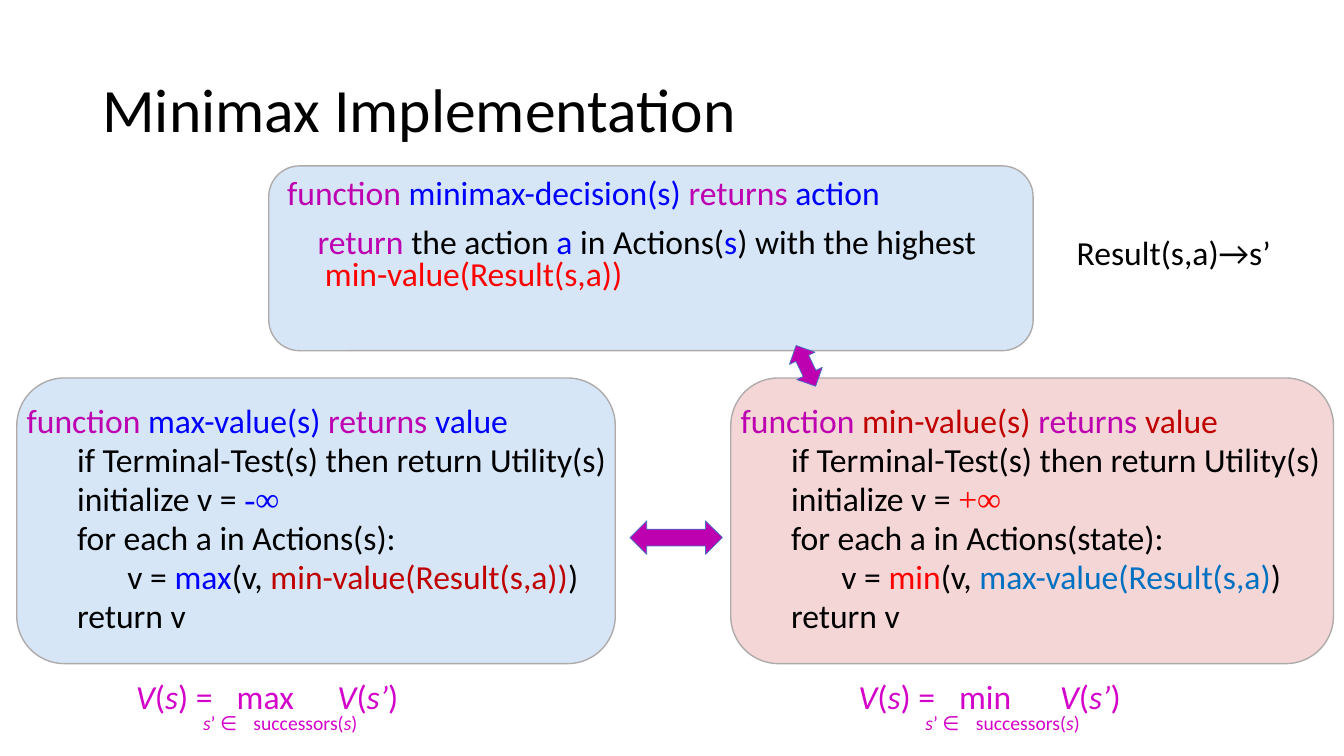
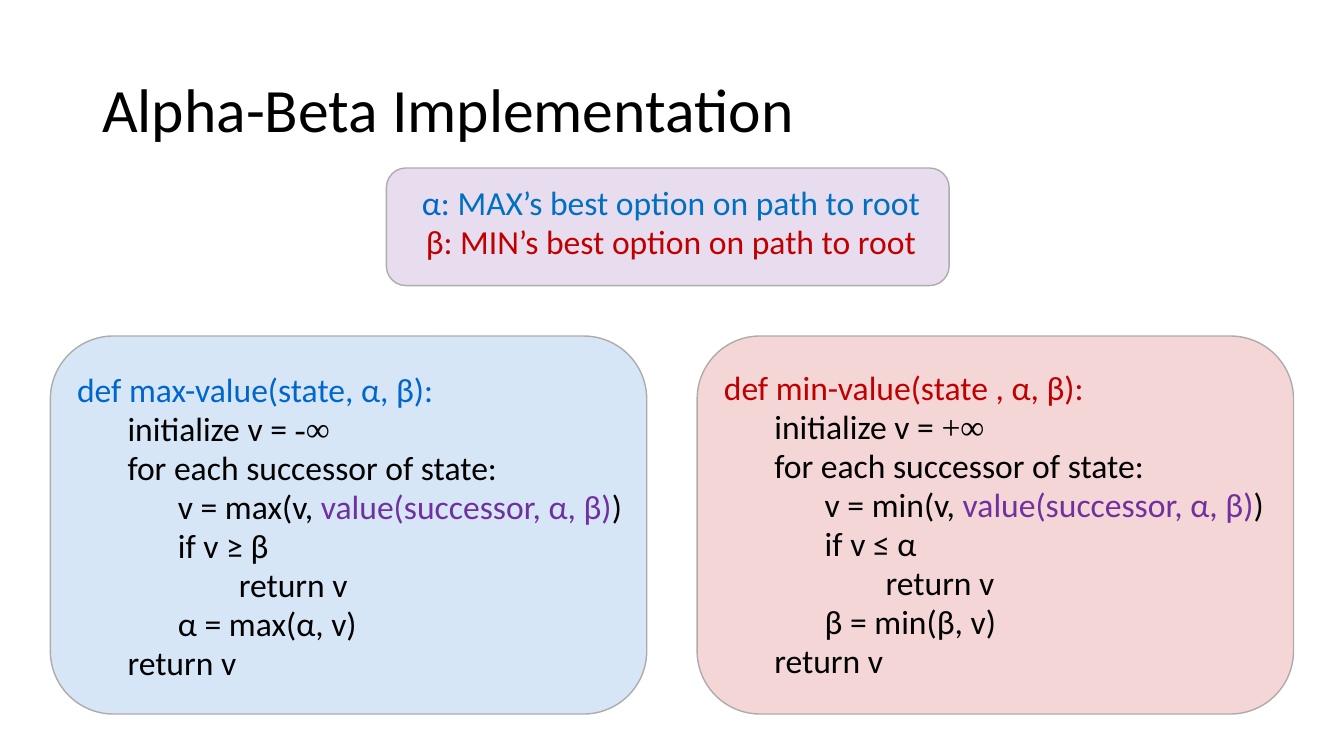
from dataclasses import dataclass
from typing import NamedTuple

from lxml import etree
from pptx import Presentation
from pptx.dml.color import RGBColor
from pptx.enum.shapes import MSO_SHAPE
from pptx.enum.text import MSO_ANCHOR, PP_ALIGN
from pptx.oxml.ns import qn
from pptx.util import Emu, Pt

ROUNDED = MSO_SHAPE.ROUNDED_RECTANGLE
DOUBLE_ARROW = MSO_SHAPE.LEFT_RIGHT_ARROW
TOP, MIDDLE = MSO_ANCHOR.TOP, MSO_ANCHOR.MIDDLE
LEFT, CENTER = PP_ALIGN.LEFT, PP_ALIGN.CENTER
BLANK_LAYOUT = 6


@dataclass(frozen=True)
class Theme:
    font: str = "Calibri"
    symbol_font: str = "Times New Roman"
    black: str = "000000"
    keyword: str = "BD00B0"
    formula: str = "D303CA"
    name: str = "0000FF"
    max_blue: str = "0066CC"
    call_blue: str = "0070C0"
    min_red: str = "C00000"
    bright_red: str = "FF0000"
    purple: str = "7030A0"
    panel_line: str = "AFABAB"
    arrow_line: str = "4472C4"
    panel_alpha: int = 16
    title_size: int = 44
    text_size: int = 24
    subscript_size: int = 14
    code_spacing: float = 0.8
    title_spacing: float = 0.9
    line_gap: float = 4.8
    paragraph_gap: int = 12
    indents: tuple = (0, 48, 96, 154)


THEME = Theme()


class Run(NamedTuple):
    text: str
    color: str = THEME.black
    font: str = THEME.font
    italic: bool = False


class Line(NamedTuple):
    runs: list
    margin: int = 0
    hanging: int = 0
    gap: float = 0


def px(value):
    return Emu(value * 9525)


def code(level, *runs):
    """One line of pseudocode at an indent level."""
    return Line([Run(run) if isinstance(run, str) else run for run in runs],
                THEME.indents[level], gap=THEME.line_gap)


def infinity(sign, color=THEME.black):
    return Run(sign + "∞", color, THEME.symbol_font)


# Element builders
def add_block(slide, kind, box, fill, line, width):
    shape = slide.shapes.add_shape(kind, *map(px, box))
    shape.shadow.inherit = False
    shape.fill.solid()
    shape.fill.fore_color.rgb = RGBColor.from_string(fill)
    shape.line.color.rgb = RGBColor.from_string(line)
    shape.line.width = Pt(width)
    return shape


def add_panel(slide, box, color):
    panel = add_block(slide, ROUNDED, box, color, THEME.panel_line, 1)
    fill_color = panel.fill._xPr.find(qn("a:solidFill")).find(qn("a:srgbClr"))
    alpha = etree.SubElement(fill_color, qn("a:alpha"))
    alpha.set("val", str(THEME.panel_alpha * 1000))


def add_double_arrow(slide, box, rotation=0):
    arrow = add_block(slide, DOUBLE_ARROW, box, THEME.keyword, THEME.arrow_line, 0.5)
    arrow.rotation = rotation


def add_tabs(paragraph, positions):
    tab_list = etree.SubElement(paragraph._p.get_or_add_pPr(), qn("a:tabLst"))
    for position in positions:
        tab = etree.SubElement(tab_list, qn("a:tab"))
        tab.set("pos", str(px(position)))
        tab.set("algn", "l")


def add_text(slide, box, lines, size=THEME.text_size, spacing=1.0,
             align=LEFT, anchor=TOP, tabs=()):
    text_frame = slide.shapes.add_textbox(*map(px, box)).text_frame
    text_frame.word_wrap = True
    text_frame.vertical_anchor = anchor
    for index, line in enumerate(lines):
        paragraph = text_frame.add_paragraph() if index else text_frame.paragraphs[0]
        if tabs:
            add_tabs(paragraph, tabs)
        properties = paragraph._p.get_or_add_pPr()
        properties.set("marL", str(px(line.margin)))
        properties.set("indent", str(px(-line.hanging)))
        paragraph.alignment = align
        paragraph.line_spacing = spacing
        paragraph.space_before = Pt(line.gap if index else 0)
        for part in line.runs:
            run = paragraph.add_run()
            run.text = part.text
            run.font.name = part.font
            run.font.size = Pt(size)
            run.font.italic = part.italic
            run.font.color.rgb = RGBColor.from_string(part.color)


def add_code(slide, box, lines):
    add_text(slide, box, lines, spacing=THEME.code_spacing)


def add_titled_slide(presentation, title):
    slide = presentation.slides.add_slide(presentation.slide_layouts[BLANK_LAYOUT])
    add_text(slide, (88, 38, 1104, 139), [Line([Run(title)])], THEME.title_size,
             THEME.title_spacing, anchor=MIDDLE)
    return slide


def formula_line(*texts):
    """Alternate italic and upright runs, starting with italic."""
    return Line([Run(text, THEME.formula, italic=index % 2 == 0)
                 for index, text in enumerate(texts)])


def add_formula(slide, left, operator, value_tab):
    top = 639
    add_text(slide, (left, top, 440, 48),
             [formula_line("V", "(", "s", f") =\t{operator}\t", "V", "(", "s’", ")")],
             tabs=(117, value_tab))
    add_text(slide, (left + 64, top + 33, 200, 33),
             [formula_line("s", "’ ∈\tsuccessors(", "s", ")")],
             THEME.subscript_size, tabs=(41,))


# Pseudocode
def function_header(signature, result, color):
    return Line([Run("function ", THEME.keyword), Run(signature + " ", color),
                 Run("returns ", THEME.keyword), Run(result, color)])


def minimax_lines(operator, color, start, actions, operator_color, call):
    return [
        function_header(f"{operator}-value(s)", "value", color),
        code(1, "if Terminal-Test(s) then return Utility(s)"),
        code(1, "initialize v = ", start),
        code(1, f"for each a in Actions({actions}):"),
        code(2, "v = ", Run(operator, operator_color), "(v, ", call, ")"),
        code(1, "return v"),
    ]


def alpha_beta_lines(operator, color, state, sign, comparison, bound, updated):
    return [
        code(0, Run(f"def {operator}-value({state}, α, β):", color)),
        code(1, "initialize v = ", infinity(sign)),
        code(1, "for each successor of state:"),
        code(2, f"v = {operator}(v, ", Run("value(successor, α, β)", THEME.purple), ")"),
        code(2, f"if v {comparison} {bound}"),
        code(3, "return v"),
        code(2, f"{updated} = {operator}({updated}, v)"),
        code(1, "return v"),
    ]


# Slides
def build_minimax(presentation):
    slide = add_titled_slide(presentation, "Minimax Implementation")

    # Maximizing and minimizing functions
    max_lines = minimax_lines(
        "max", THEME.name, infinity("-", THEME.name), "s", THEME.name,
        Run("min-value(Result(s,a))", THEME.min_red))
    min_lines = minimax_lines(
        "min", THEME.min_red, infinity("+", THEME.bright_red), "state",
        THEME.bright_red, Run("max-value(Result(s,a)", THEME.call_blue))
    for left, width, color, lines in ((16, 570, THEME.max_blue, max_lines),
                                      (696, 574, THEME.min_red, min_lines)):
        add_panel(slide, (left, 360, width, 272), color)
        add_code(slide, (left, 384, 584, 240), lines)
    add_double_arrow(slide, (600, 496, 88, 32))

    # Decision function
    add_panel(slide, (256, 158, 728, 176), THEME.max_blue)
    decision = Line([
        Run("return", THEME.keyword), Run(" the action "), Run("a", THEME.name),
        Run(" in Actions("), Run("s", THEME.name), Run(") with the highest "),
        Run("min-value(Result(s,a))", THEME.bright_red),
    ], margin=36, hanging=7, gap=THEME.paragraph_gap)
    add_code(slide, (264, 166, 696, 160),
             [function_header("minimax-decision(s)", "action", THEME.name), decision])
    add_double_arrow(slide, (746, 335, 43, 27), 64.4)
    add_text(slide, (1016, 216, 224, 48), [Line([Run("Result(s,a)→s’")])])

    # Value formulas
    add_formula(slide, 120, "max", 215)
    add_formula(slide, 808, "min", 210)


def build_alpha_beta(presentation):
    slide = add_titled_slide(presentation, "Alpha-Beta Implementation")

    # Maximizing and minimizing functions
    max_lines = alpha_beta_lines("max", THEME.max_blue, "state", "-", "≥", "β", "α")
    min_lines = alpha_beta_lines("min", THEME.min_red, "state ", "+", "≤", "α", "β")
    for left, text_top, color, lines in ((48, 354, THEME.max_blue, max_lines),
                                         (664, 352, THEME.min_red, min_lines)):
        add_panel(slide, (left, 320, 568, 360), color)
        add_code(slide, (left + 16, text_top, 564, 310), lines)

    # Legend
    add_panel(slide, (368, 160, 536, 112), THEME.purple)
    legend = [
        code(0, Run("α: ", THEME.max_blue),
             Run("MAX’s best option on path to root", THEME.call_blue)),
        code(0, Run("β: MIN’s best option on path to root", THEME.min_red)),
    ]
    add_text(slide, (375, 176, 528, 80), legend,
             spacing=THEME.code_spacing, align=CENTER)


def main():
    presentation = Presentation()
    presentation.slide_width = px(1280)
    presentation.slide_height = px(720)
    build_minimax(presentation)
    build_alpha_beta(presentation)
    presentation.save("out.pptx")


if __name__ == "__main__":
    main()
